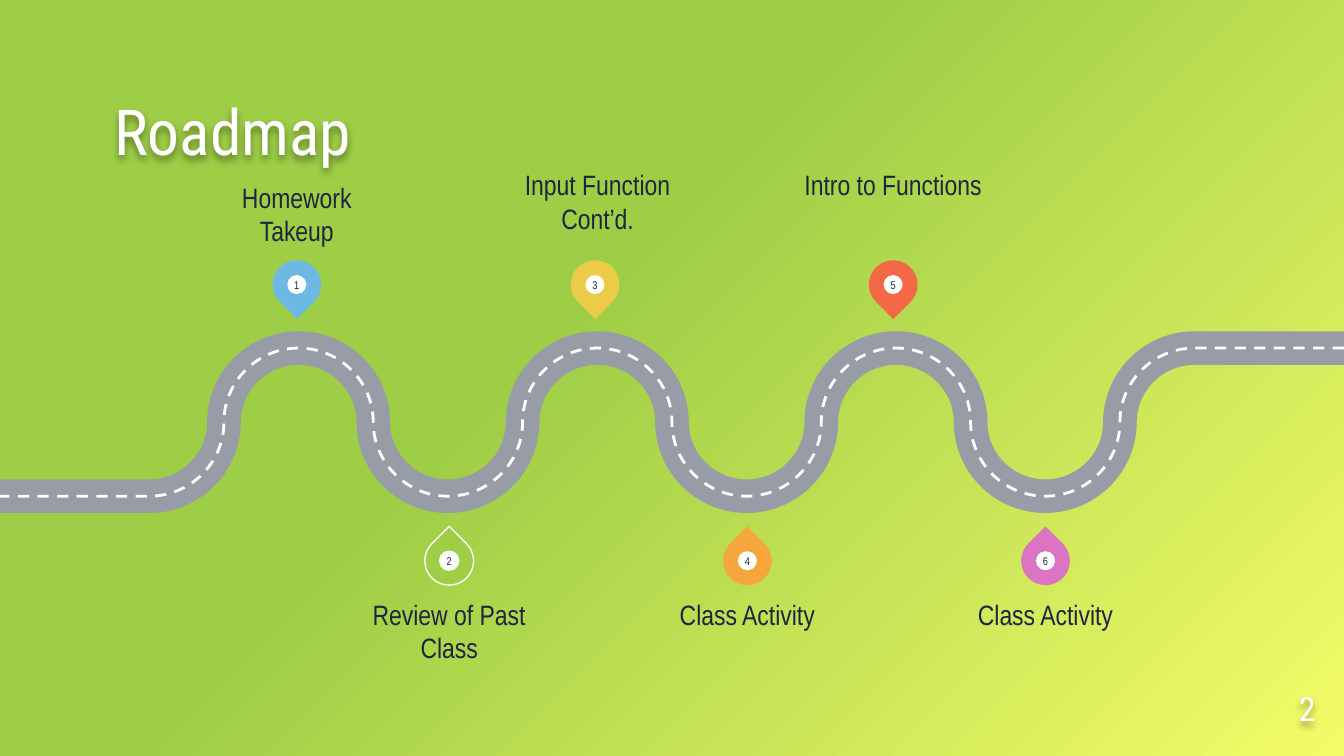
import itertools
from dataclasses import dataclass

import pptx
import pptx.util
from lxml import etree
from pptx.dml.color import RGBColor
from pptx.enum.dml import MSO_LINE
from pptx.enum.shapes import MSO_SHAPE
from pptx.enum.text import MSO_ANCHOR, MSO_AUTO_SIZE, PP_ALIGN
from pptx.oxml.ns import qn
from pptx.util import Cm, Pt


@dataclass(frozen=True)
class Theme:
    green: str = "9ECE46"
    yellow: str = "F4FC68"
    white: str = "FFFFFF"
    ink: str = "1E263A"
    asphalt: str = "989CA7"
    shadow: str = "000000"
    heading_font: str = "Roboto Condensed"
    body_font: str = "Arial Narrow"
    title_size: int = 34
    page_size: int = 18
    caption_size: int = 15
    number_size: int = 6


THEME = Theme()

SLIDE_WIDTH, SLIDE_HEIGHT = 25.4, 14.29
BEND_WIDTH = SLIDE_WIDTH / 18
BEND_HEIGHT = 1.4
ROAD_MIDDLE = 7.98
ROUNDNESS = 0.55

PIN_SIZE, DOT_SIZE = 0.92, 0.36
PIN_PITCH = 5.635
UPPER_PIN, LOWER_PIN = (5.61, 5.38), (8.49, 10.6)
CAPTION_WIDTH, CAPTION_HEIGHT = 3.56, 1.47
LOWER_CAPTION = 11.29

# caption, pin colour, outlined, caption shift, caption top, caption anchor
STOPS = [
    ("Homework Takeup", "6DB9E4", False, 0, 3.21, MSO_ANCHOR.BOTTOM),
    ("Review of Past Class", THEME.green, True, 0, LOWER_CAPTION, MSO_ANCHOR.TOP),
    ("Input Function Cont’d.", "ECCB49", False, 0.05, 3.17, MSO_ANCHOR.TOP),
    ("Class Activity", "F5A73B", False, 0, LOWER_CAPTION, MSO_ANCHOR.TOP),
    ("Intro to Functions", "F36846", False, 0, 3.17, MSO_ANCHOR.TOP),
    ("Class Activity", "DD73C3", False, 0, LOWER_CAPTION, MSO_ANCHOR.TOP),
]


def rgb(color):
    return RGBColor.from_string(color)


def write(shape, text, size, font, color, align, anchor, wrap=True):
    frame = shape.text_frame
    frame.text = text
    frame.word_wrap = wrap
    frame.auto_size = MSO_AUTO_SIZE.NONE
    frame.vertical_anchor = anchor
    frame.margin_left = frame.margin_right = 0
    frame.margin_top = frame.margin_bottom = 0
    paragraph = frame.paragraphs[0]
    paragraph.alignment = align
    run = paragraph.runs[0]
    run.font.size = Pt(size)
    run.font.name = font
    run.font.color.rgb = rgb(color)
    return paragraph


def write_heading(shape, text, size, align):
    """Write white heading text; the unfilled shape's shadow falls from it."""
    paragraph = write(shape, text, size, THEME.heading_font, THEME.white,
                      align, MSO_ANCHOR.BOTTOM)
    paragraph.line_spacing = 0.9
    shape.fill.background()
    effects = etree.SubElement(shape._element.spPr, qn("a:effectLst"))
    shadow = etree.SubElement(effects, qn("a:outerShdw"), blurRad="50800",
                              dist="25400", dir="5400000", algn="t", rotWithShape="0")
    color = etree.SubElement(shadow, qn("a:srgbClr"), val=THEME.shadow)
    etree.SubElement(color, qn("a:alpha"), val="40000")


def paint_background(slide):
    fill = slide.background.fill
    fill.gradient()
    fill.gradient_angle = 315
    colors = [(0.42, THEME.green), (1.0, THEME.yellow)]
    for stop, (position, color) in zip(fill.gradient_stops, colors):
        stop.position = position
        stop.color.rgb = rgb(color)


def road_points():
    """Run from right to left through each crest, valley and halfway point."""
    heights = itertools.cycle([-BEND_HEIGHT, 0, BEND_HEIGHT, 0])
    bends = [(step * BEND_WIDTH, ROAD_MIDDLE + height)
             for step, height in zip(range(16, 1, -1), heights)]
    points = [(SLIDE_WIDTH, bends[0][1]), *bends, (0, bends[-1][1])]
    return [(Cm(x), Cm(y)) for x, y in points]


def round_bends(road):
    """Turn every segment but the two level ends into a quarter curve."""
    segments = list(road._element.iter(qn("a:lnTo")))
    ends = [(int(segment[0].get("x")), int(segment[0].get("y")))
            for segment in segments]
    for index in range(1, len(segments) - 1):
        (x0, y0), (x1, y1) = ends[index - 1], ends[index]
        dx, dy = ROUNDNESS * (x1 - x0), ROUNDNESS * (y1 - y0)
        if index % 2:
            controls = [(x0 + dx, y0), (x1, y1 - dy)]
        else:
            controls = [(x0, y0 + dy), (x1 - dx, y1)]
        curve = etree.Element(qn("a:cubicBezTo"))
        for x, y in [*controls, (x1, y1)]:
            etree.SubElement(curve, qn("a:pt"), x=str(round(x)), y=str(round(y)))
        segments[index].getparent().replace(segments[index], curve)


def add_road_line(slide, color, width, dash=None):
    start, *rest = road_points()
    builder = slide.shapes.build_freeform(*start)
    builder.add_line_segments(rest, close=False)
    road = builder.convert_to_shape()
    round_bends(road)
    road.shadow.inherit = False
    road.fill.background()
    road.line.color.rgb = rgb(color)
    road.line.width = Pt(width)
    road.line.dash_style = dash


def add_centered(shapes, kind, x, y, size, color, outlined):
    shape = shapes.add_shape(kind, Cm(x - size / 2), Cm(y - size / 2),
                             Cm(size), Cm(size))
    shape.shadow.inherit = False
    shape.fill.solid()
    shape.fill.fore_color.rgb = rgb(color)
    if outlined:
        shape.line.color.rgb = rgb(THEME.white)
        shape.line.width = Pt(0.75)
    else:
        shape.line.fill.background()
    return shape


def add_pin(slide, number, x, y, rotation, color, outlined):
    shapes = slide.shapes.add_group_shape().shapes
    marker = add_centered(shapes, MSO_SHAPE.TEAR, x, y, PIN_SIZE, color, outlined)
    marker.rotation = rotation
    dot = add_centered(shapes, MSO_SHAPE.OVAL, x, y, DOT_SIZE, THEME.white, outlined)
    write(dot, str(number), THEME.number_size, THEME.body_font, THEME.ink,
          PP_ALIGN.CENTER, MSO_ANCHOR.MIDDLE, wrap=False)


def add_caption(slide, text, x, top, anchor):
    caption = slide.shapes.add_textbox(Cm(x - CAPTION_WIDTH / 2), Cm(top),
                                       Cm(CAPTION_WIDTH), Cm(CAPTION_HEIGHT))
    write(caption, text, THEME.caption_size, THEME.body_font, THEME.ink,
          PP_ALIGN.CENTER, anchor)


def add_headings(slide):
    title = slide.shapes.title
    title.left, title.top = Cm(2.16), Cm(2.11)
    title.width, title.height = Cm(21.08), Cm(1.09)
    write_heading(title, "Roadmap", THEME.title_size, PP_ALIGN.LEFT)
    page = slide.shapes.add_textbox(Cm(23.34), Cm(12.92), Cm(1.52), Cm(0.86))
    write_heading(page, "2", THEME.page_size, PP_ALIGN.RIGHT)


def main():
    deck = pptx.Presentation()
    deck.slide_width, deck.slide_height = Cm(SLIDE_WIDTH), Cm(SLIDE_HEIGHT)
    slide = deck.slides.add_slide(deck.slide_layouts[5])
    paint_background(slide)
    add_headings(slide)
    add_road_line(slide, THEME.asphalt, 18)
    add_road_line(slide, THEME.white, 1.5, MSO_LINE.DASH)
    for index, (text, color, outlined, shift, top, anchor) in enumerate(STOPS):
        pair, lower = divmod(index, 2)
        first_x, y = LOWER_PIN if lower else UPPER_PIN
        x = first_x + pair * PIN_PITCH
        add_pin(slide, index + 1, x, y, 315 if lower else 135, color, outlined)
        add_caption(slide, text, x + shift, top, anchor)
    deck.save("out.pptx")


if __name__ == "__main__":
    main()
